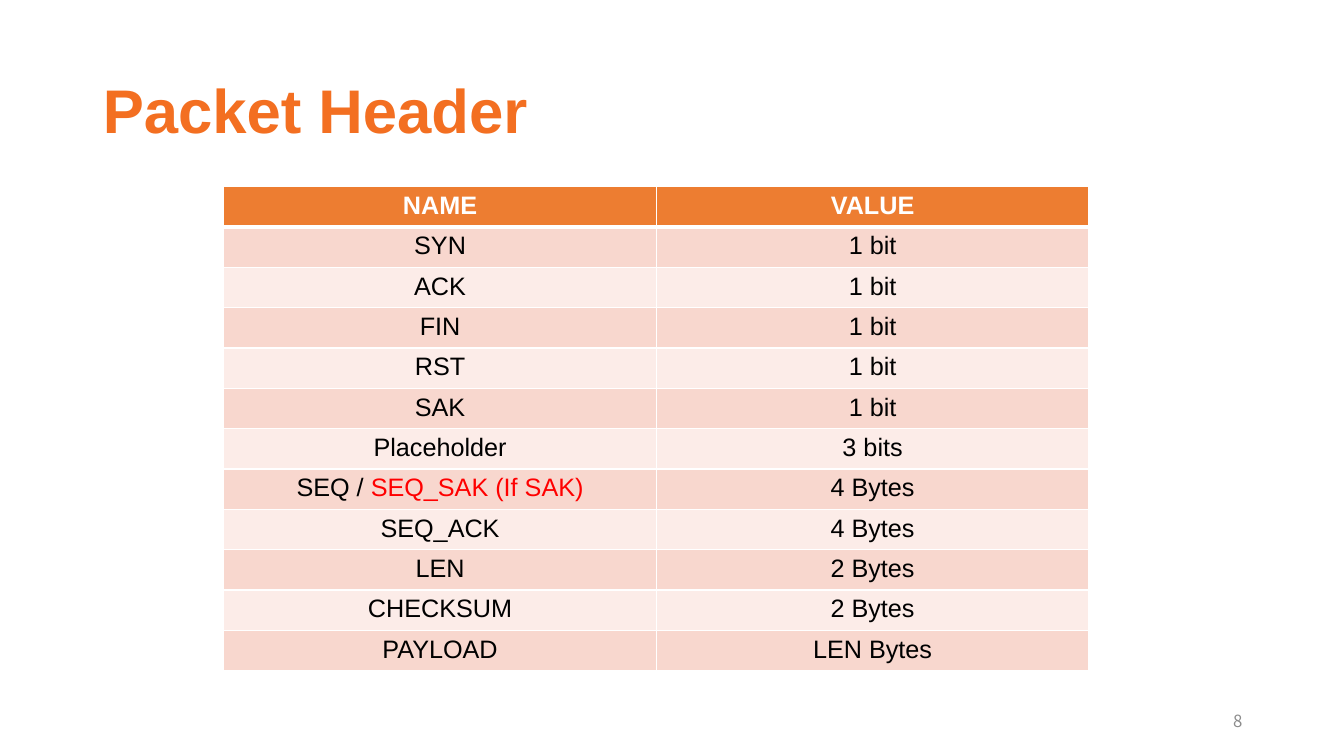
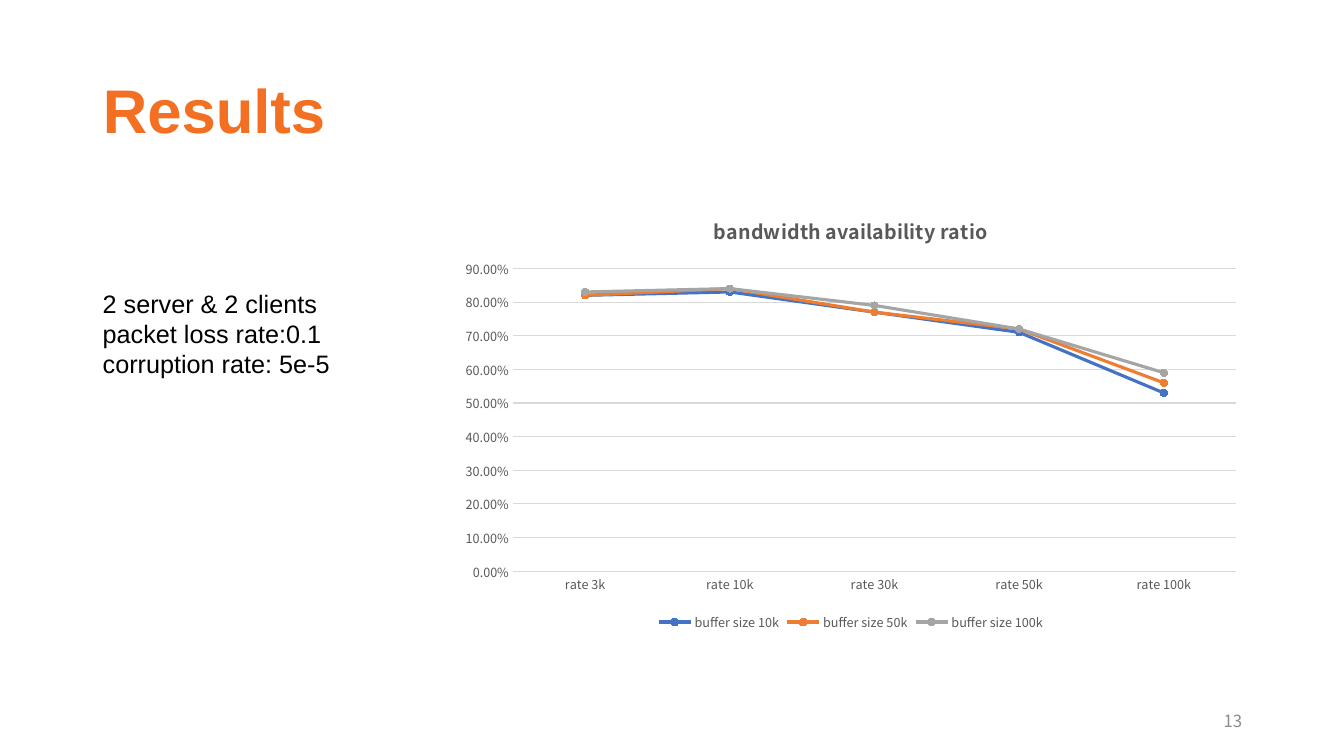
from lxml.etree import SubElement
from pptx import Presentation
from pptx.chart.data import CategoryChartData
from pptx.dml.color import RGBColor
from pptx.enum.chart import (XL_CHART_TYPE, XL_LEGEND_POSITION,
                             XL_MARKER_STYLE, XL_TICK_MARK)
from pptx.enum.text import MSO_ANCHOR, PP_ALIGN
from pptx.oxml.ns import qn
from pptx.util import Inches, Pt

# Shared style
TEXT_FONT = "Arial"
SMALL_FONT = "Noto Sans CJK SC"
TITLE_ORANGE = RGBColor(0xF3, 0x6F, 0x21)
ORANGE = RGBColor(0xED, 0x7D, 0x31)
BLUE = RGBColor(0x44, 0x72, 0xC4)
GRAY = RGBColor(0xA5, 0xA5, 0xA5)
BAND_DARK = RGBColor(0xF8, 0xD7, 0xCE)
BAND_LIGHT = RGBColor(0xFC, 0xEC, 0xE8)
WHITE = RGBColor(0xFF, 0xFF, 0xFF)
BLACK = RGBColor(0, 0, 0)
RED = RGBColor(0xFF, 0, 0)
NUMBER_GRAY = RGBColor(0x8C, 0x8C, 0x8C)
LABEL_GRAY = RGBColor(0x59, 0x59, 0x59)
GRID_GRAY = RGBColor(0xD9, 0xD9, 0xD9)
TITLE_ONLY = 5

# Content
HEADER_FIELDS = [
    ("NAME", "VALUE"),
    ("SYN", "1 bit"),
    ("ACK", "1 bit"),
    ("FIN", "1 bit"),
    ("RST", "1 bit"),
    ("SAK", "1 bit"),
    ("Placeholder", "3 bits"),
    ("SEQ / |SEQ_SAK (If SAK)", "4 Bytes"),  # text after the bar is red
    ("SEQ_ACK", "4 Bytes"),
    ("LEN", "2 Bytes"),
    ("CHECKSUM", "2 Bytes"),
    ("PAYLOAD", "LEN Bytes"),
]
TEST_SETUP = ["2 server & 2 clients", "packet loss rate:0.1",
              "corruption rate: 5e-5"]
RATES = ["rate 3k", "rate 10k", "rate 30k", "rate 50k", "rate 100k"]
BUFFERS = [
    ("buffer size 10k", BLUE, (0.82, 0.83, 0.77, 0.71, 0.53)),
    ("buffer size 50k", ORANGE, (0.82, 0.84, 0.77, 0.72, 0.56)),
    ("buffer size 100k", GRAY, (0.83, 0.84, 0.79, 0.72, 0.59)),
]


def style_font(font, size, color, name=TEXT_FONT, bold=False):
    font.name = name
    font.size = Pt(size)
    font.bold = bold
    font.color.rgb = color


def add_run(paragraph, text, *style, **options):
    run = paragraph.add_run()
    run.text = text
    style_font(run.font, *style, **options)


def place(shape, left, top, width, height):
    shape.left, shape.top = Inches(left), Inches(top)
    shape.width, shape.height = Inches(width), Inches(height)


def add_text_box(slide, left, top, width, height):
    box = slide.shapes.add_textbox(Inches(left), Inches(top),
                                   Inches(width), Inches(height))
    box.text_frame.word_wrap = True
    return box.text_frame


def add_titled_slide(prs, title_text, number):
    slide = prs.slides.add_slide(prs.slide_layouts[TITLE_ONLY])
    title = slide.shapes.title
    place(title, 0.92, 0.4, 11.5, 1.45)
    title.text_frame.vertical_anchor = MSO_ANCHOR.MIDDLE
    heading = title.text_frame.paragraphs[0]
    heading.alignment = PP_ALIGN.LEFT
    heading.line_spacing = 0.9
    add_run(heading, title_text, 44, TITLE_ORANGE, bold=True)

    footer = add_text_box(slide, 9.42, 6.95, 3, 0.4)
    footer.vertical_anchor = MSO_ANCHOR.MIDDLE
    footer.paragraphs[0].alignment = PP_ALIGN.RIGHT
    add_run(footer.paragraphs[0], str(number), 12, NUMBER_GRAY, SMALL_FONT)
    return slide


def set_borders(cell, top=1, bottom=1):
    properties = cell._tc.get_or_add_tcPr()
    for side, points in (("L", 1), ("R", 1), ("T", top), ("B", bottom)):
        line = SubElement(properties, qn(f"a:ln{side}"), w=str(Pt(points)))
        fill = SubElement(line, qn("a:solidFill"))
        SubElement(fill, qn("a:srgbClr"), val=str(WHITE))


def fill_cell(cell, text, row):
    is_head = row == 0
    set_borders(cell, top=3 if row == 1 else 1, bottom=3 if is_head else 1)
    cell.fill.solid()
    cell.fill.fore_color.rgb = (
        ORANGE if is_head else BAND_DARK if row % 2 else BAND_LIGHT)
    paragraph = cell.text_frame.paragraphs[0]
    paragraph.alignment = PP_ALIGN.CENTER
    plain, _, marked = text.partition("|")
    add_run(paragraph, plain, 18, WHITE if is_head else BLACK, bold=is_head)
    if marked:
        add_run(paragraph, marked, 18, RED)


def add_field_table(slide, fields):
    table = slide.shapes.add_table(
        len(fields), len(fields[0]), Inches(2.22), Inches(1.85),
        Inches(8.58), Inches(4.6)).table
    for row, texts in enumerate(fields):
        for column, text in enumerate(texts):
            fill_cell(table.cell(row, column), text, row)


def style_axis(axis):
    axis.major_tick_mark = axis.minor_tick_mark = XL_TICK_MARK.NONE
    style_font(axis.tick_labels.font, 9, LABEL_GRAY, SMALL_FONT)


def style_line(line, color, width):
    line.color.rgb = color
    line.width = Pt(width)


def add_ratio_chart(slide):
    data = CategoryChartData(number_format="0.00%")
    data.categories = RATES
    for name, _, ratios in BUFFERS:
        data.add_series(name, ratios)
    chart = slide.shapes.add_chart(
        XL_CHART_TYPE.LINE_MARKERS, Inches(4.46), Inches(1.95),
        Inches(7.96), Inches(4.35), data).chart
    style_font(chart.font, 10, BLACK, SMALL_FONT)

    # Title and legend
    chart.has_title = True
    add_run(chart.chart_title.text_frame.paragraphs[0],
            "bandwidth availability ratio", 14, LABEL_GRAY, SMALL_FONT,
            bold=True)
    chart.chart_title.include_in_layout = False
    chart.has_legend = True
    chart.legend.position = XL_LEGEND_POSITION.BOTTOM
    chart.legend.include_in_layout = False
    style_font(chart.legend.font, 9, LABEL_GRAY, SMALL_FONT)

    # Axes
    style_axis(chart.category_axis)
    style_line(chart.category_axis.format.line, GRID_GRAY, 0.75)
    ratio_axis = chart.value_axis
    style_axis(ratio_axis)
    ratio_axis.format.line.fill.background()
    ratio_axis.minimum_scale, ratio_axis.maximum_scale = 0, 0.9
    ratio_axis.major_unit = 0.1
    ratio_axis.tick_labels.number_format = "0.00%"
    ratio_axis.tick_labels.number_format_is_linked = False
    style_line(ratio_axis.major_gridlines.format.line, GRID_GRAY, 0.75)

    # Series
    chart.plots[0].vary_by_categories = False
    for series, (_, color, _) in zip(chart.plots[0].series, BUFFERS):
        series.smooth = False
        style_line(series.format.line, color, 2.25)
        marker = series.marker
        marker.style = XL_MARKER_STYLE.CIRCLE
        marker.size = 5
        marker.format.fill.solid()
        marker.format.fill.fore_color.rgb = color
        marker.format.line.color.rgb = color


def add_test_setup(slide):
    frame = add_text_box(slide, 0.92, 2.81, 2.45, 1.31)
    frame.margin_right = 0
    for index, text in enumerate(TEST_SETUP):
        paragraph = frame.add_paragraph() if index else frame.paragraphs[0]
        add_run(paragraph, text, 18, BLACK)


def main():
    prs = Presentation()
    prs.slide_width, prs.slide_height = Inches(13.33), Inches(7.5)

    # Packet header
    add_field_table(add_titled_slide(prs, "Packet Header", 8), HEADER_FIELDS)

    # Results
    results = add_titled_slide(prs, "Results", 13)
    add_test_setup(results)
    add_ratio_chart(results)

    prs.save("out.pptx")


if __name__ == "__main__":
    main()
